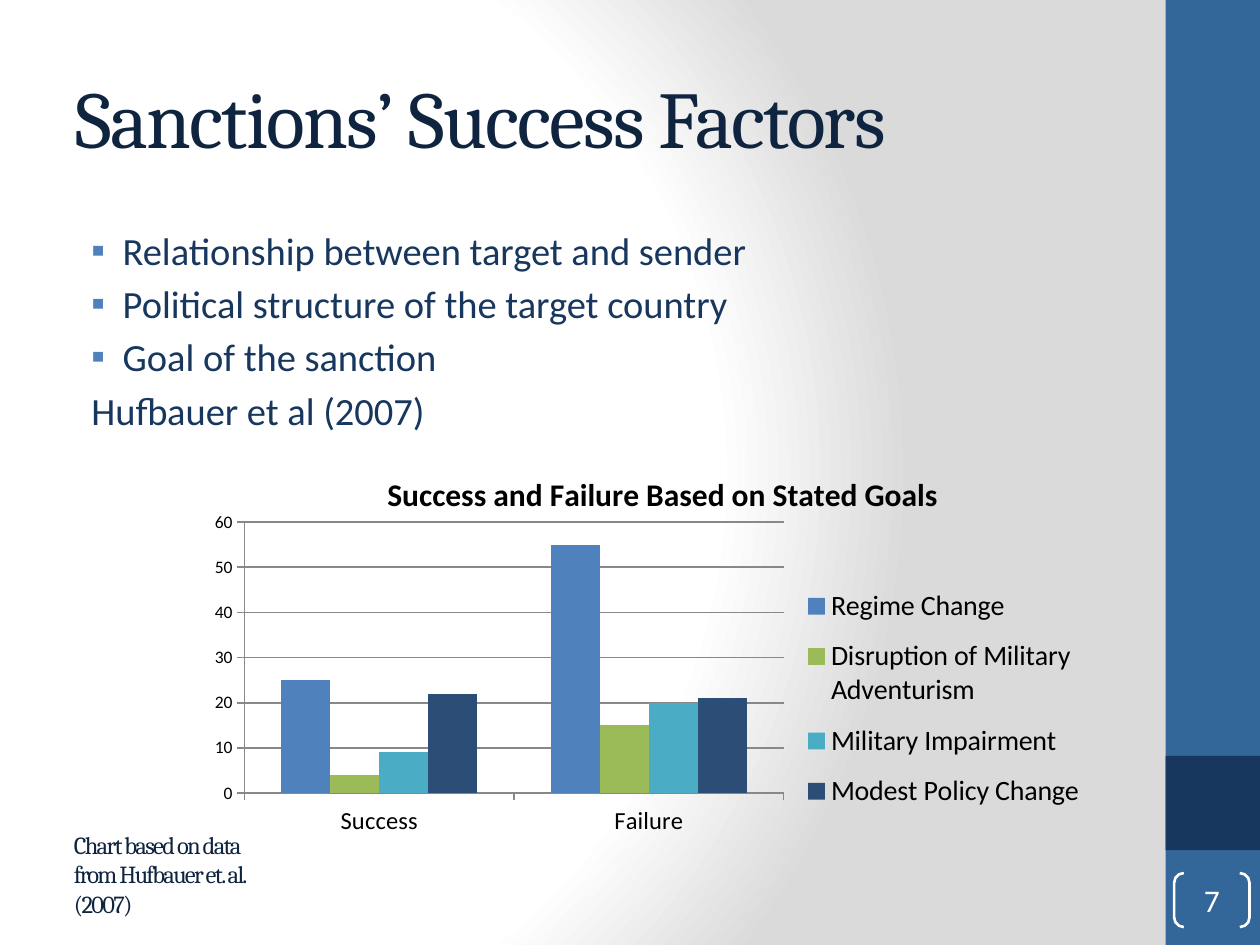
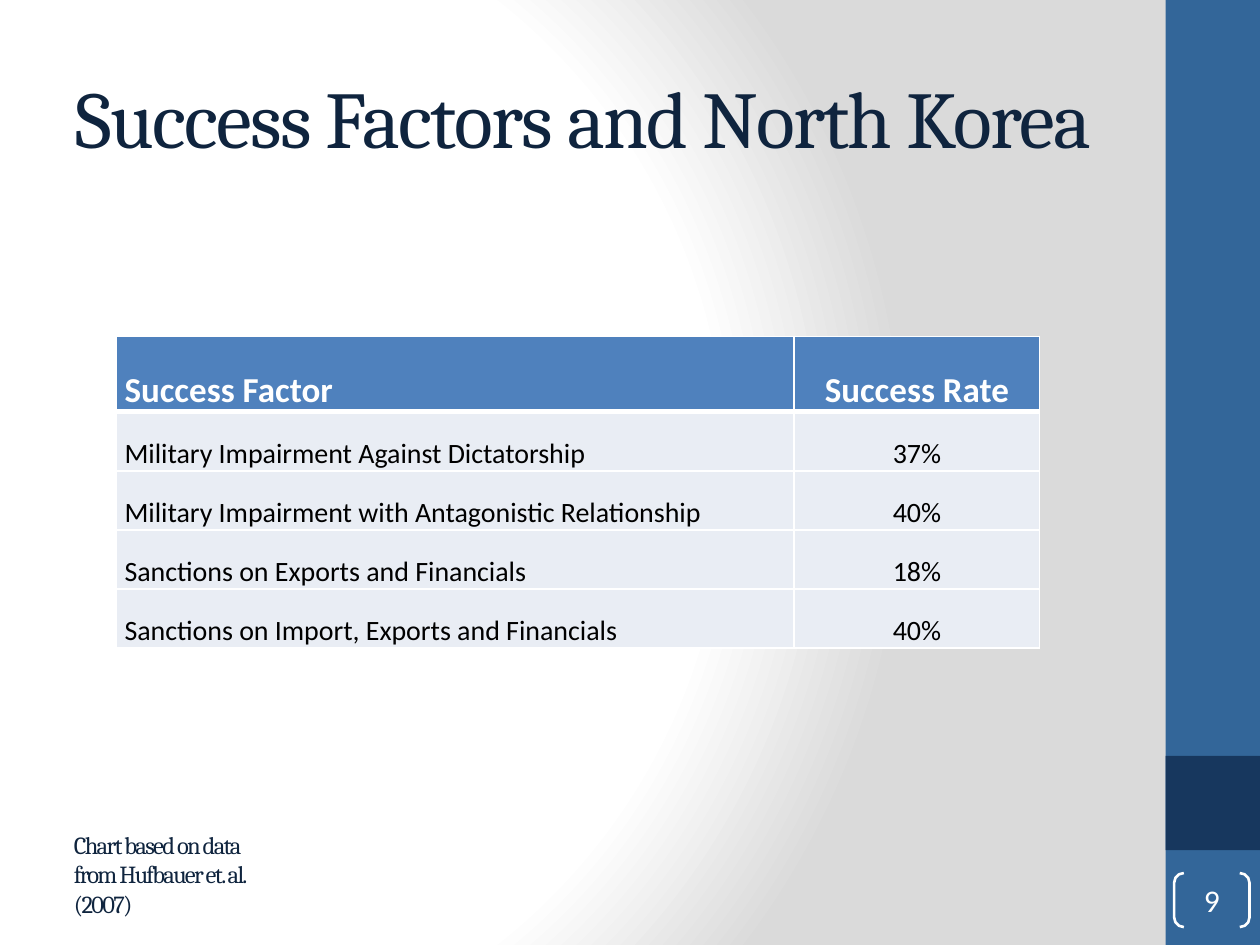
from pptx import Presentation
from pptx import util as u
from pptx.chart import data
from pptx.dml import color
from pptx.enum import chart as ch, shapes, text
from pptx.oxml import ns, parse_xml

HUES = {
    "white": "FFFFFF", "gray": "DADADA", "band": "336699", "navy": "17375E",
    "title": "0F243E", "blue": "4F81BD", "green": "9BBB59", "teal": "4BACC6",
    "deep": "2C4D75", "rule": "888888", "pale": "E9EDF4", "black": "000000",
}
LOOKS = {
    "title": {"size": 46, "name": "Cambria", "hue": "title", "track": -100},
    "note": {"size": 14, "name": "Cambria", "hue": "title", "track": -100},
    "list": {"size": 22, "name": "Calibri", "hue": "navy"},
    "page": {"size": 18, "name": "Calibri", "hue": "white"},
    "head": {"size": 20, "name": "Calibri", "hue": "white", "bold": True},
    "cell": {"size": 16, "name": "Calibri", "hue": "black", "bold": False},
    "chart": {"size": 10, "name": "Calibri", "hue": "black"},
    "group": {"size": 14, "name": "Calibri", "hue": "black"},
    "key": {"size": 16, "name": "Calibri", "hue": "black"},
    "top": {"size": 18, "name": "Calibri", "hue": "black", "bold": True},
}
LEFT, MID = text.PP_ALIGN.LEFT, text.PP_ALIGN.CENTER
NOTE = "Chart based on data from Hufbauer et. al. (2007)"


def put(item, **vals):
    for key, val in vals.items():
        setattr(item, key, val)


def rgb(hue):
    return color.RGBColor.from_string(HUES[hue])


def box(*sides):
    return [u.Cm(side) for side in sides]


def xml(tag, body="", **vals):
    vals = "".join(f' {key}="{val}"' for key, val in vals.items())
    return parse_xml(f'<{tag} {ns.nsdecls(tag[0])}{vals}>{body}</{tag}>')


def solid(hue):
    return f'<a:solidFill><a:srgbClr val="{HUES[hue]}"/></a:solidFill>'


def place(node, spot, **vals):
    for old in node.findall(ns.qn("c:layout")):
        node.remove(old)
    parts = "".join(f'<c:{key} val="{val}"/>' for key, val in vals.items())
    node.insert(spot, xml("c:layout", f"<c:manualLayout>{parts}</c:manualLayout>"))


class Deck:
    def __init__(self):
        self.show = Presentation()
        put(self.show, slide_width=u.Cm(25.4), slide_height=u.Cm(19.05))
        self.slide = None
        self.paint()

    def paint(self):
        base = self.show.slide_master
        base.background.fill.solid()
        back = base.element.find(".//" + ns.qn("p:bgPr"))
        stops = "".join(
            f'<a:gs pos="{spot}"><a:srgbClr val="{HUES[hue]}"/></a:gs>'
            for spot, hue in ((0, "white"), (75000, "white"), (100000, "gray")))
        back.replace(back[0], xml(
            "a:gradFill", f'<a:gsLst>{stops}</a:gsLst><a:path path="circle">'
            '<a:fillToRect l="20000" t="50000" r="100000" b="50000"/></a:path>',
            rotWithShape=1))

    def font(self, font, look):
        for key, val in LOOKS[look].items():
            if key == "hue":
                font.color.rgb = rgb(val)
            elif key == "track":
                font._element.set("spc", str(val))
            else:
                setattr(font, key, u.Pt(val) if key == "size" else val)

    def say(self, para, words, look, align=LEFT):
        run = para.add_run()
        run.text = words
        para.alignment = align
        self.font(run.font, look)

    def start(self, title, page, kind=5):
        self.slide = self.show.slides.add_slide(self.show.slide_layouts[kind])
        self.block((23.5, 0, 1.9, 19.05), "band")
        self.block((23.5, 15.24, 1.9, 1.9), "navy")
        head = self.slide.shapes.title
        self.frame(head, (1.27, 0.76, 21.16, 3.18))
        self.say(head.text_frame.paragraphs[0], title, "title")
        self.page(page)

    def frame(self, item, spot, anchor=text.MSO_ANCHOR.MIDDLE):
        put(item, **dict(zip(("left", "top", "width", "height"), box(*spot))))
        put(item.text_frame, word_wrap=True, vertical_anchor=anchor,
            auto_size=text.MSO_AUTO_SIZE.NONE)

    def block(self, spot, hue):
        item = self.slide.shapes.add_shape(shapes.MSO_SHAPE.RECTANGLE, *box(*spot))
        item.shadow.inherit = False
        item.fill.solid()
        item.fill.fore_color.rgb = rgb(hue)
        item.line.fill.background()

    def page(self, num):
        item = self.slide.shapes.add_shape(
            shapes.MSO_SHAPE.DOUBLE_BRACKET, *box(23.67, 17.6, 1.52, 1.09))
        item.shadow.inherit = False
        item.adjustments[0] = 0.18
        item.fill.background()
        item.line.color.rgb = rgb("white")
        item.line.width = u.Pt(1.5)
        put(item.text_frame, margin_left=0, margin_right=0, margin_top=0,
            margin_bottom=0, vertical_anchor=text.MSO_ANCHOR.MIDDLE)
        self.say(item.text_frame.paragraphs[0], str(num), "page", MID)

    def list(self, lines, last):
        body = self.slide.placeholders[1]
        self.frame(body, (1.27, 4.45, 21.16, 13.34), text.MSO_ANCHOR.TOP)
        frame = body.text_frame
        for num, words in enumerate([*lines, last]):
            para = frame.add_paragraph() if num else frame.paragraphs[0]
            self.say(para, words, "list")
            para.space_before = u.Pt(4)
            props = para._p.get_or_add_pPr()
            dot = num < len(lines)
            props.set("marL", str(u.Cm(0.95 if dot else 0.32)))
            props.set("indent", str(u.Cm(-0.63 if dot else 0)))
            if dot:
                props.append(xml("a:buClr", f'<a:srgbClr val="{HUES["blue"]}"/>'))
                props.append(xml("a:buFont", typeface="Calibri"))
                props.append(xml("a:buChar", char="▪"))
            else:
                props.append(xml("a:buNone"))

    def note(self, width):
        spot = (1.24, 16.69, width, 1.85)
        item = self.slide.shapes.add_textbox(*box(*spot))
        self.frame(item, spot)
        self.say(item.text_frame.paragraphs[0], NOTE, "note")

    def chart(self, title, groups, rows):
        feed = data.CategoryChartData()
        feed.categories = groups
        for name, vals, hue in rows:
            feed.add_series(name, vals)
        chart = self.slide.shapes.add_chart(
            ch.XL_CHART_TYPE.COLUMN_CLUSTERED, *box(4.01, 9.02, 18.42, 7.92), feed).chart
        self.font(chart.font, "chart")
        put(chart, has_title=True, has_legend=True)
        self.say(chart.chart_title.text_frame.paragraphs[0], title, "top", MID)
        place(chart.chart_title._element, 1, xMode="edge", yMode="edge", x=0.2, y=0.05)
        plot = chart.plots[0]
        put(plot, gap_width=150, overlap=0, vary_by_categories=False)
        for bars, (name, vals, hue) in zip(plot.series, rows):
            bars.format.fill.solid()
            bars.format.fill.fore_color.rgb = rgb(hue)
        place(chart._chartSpace.find(".//" + ns.qn("c:plotArea")), 0,
              layoutTarget="inner", xMode="edge", yMode="edge",
              x=0.05, y=0.19, w=0.59, h=0.69)
        put(chart.legend, position=ch.XL_LEGEND_POSITION.RIGHT, include_in_layout=False)
        self.font(chart.legend.font, "key")
        place(chart.legend._element, 1, xMode="edge", yMode="edge",
              x=0.65, y=0.32, w=0.33, h=0.64)
        side, base = chart.value_axis, chart.category_axis
        put(side, minimum_scale=0, maximum_scale=60, major_unit=10,
            has_major_gridlines=True)
        for axis, look in ((side, "chart"), (base, "group")):
            axis.major_tick_mark = ch.XL_TICK_MARK.OUTSIDE
            self.font(axis.tick_labels.font, look)
        for part in (side, base, side.major_gridlines):
            part.format.line.color.rgb = rgb("rule")
            part.format.line.width = u.Pt(1)

    def table(self, rows):
        grid = self.slide.shapes.add_table(
            len(rows), 2, *box(2.34, 6.78, 18.62, 6.28)).table
        for col, width in zip(grid.columns, (13.67, 4.95)):
            col.width = u.Cm(width)
        for num, row in enumerate(rows):
            grid.rows[num].height = u.Cm(1.19 if num else 1.52)
            for col, words in enumerate(row):
                self.cell(grid.cell(num, col), words, num, col)

    def cell(self, cell, words, row, col):
        put(cell, margin_left=u.Cm(0.03 if col else 0.17), margin_right=u.Cm(0.03),
            margin_top=u.Cm(0.03), margin_bottom=0,
            vertical_anchor=text.MSO_ANCHOR.BOTTOM)
        cell.fill.solid()
        cell.fill.fore_color.rgb = rgb("pale" if row else "blue")
        self.say(cell.text_frame.paragraphs[0], words,
                 "cell" if row else "head", MID if col else LEFT)
        edges = {"L": 1, "R": 1, "T": 3 if row == 1 else 1, "B": 1 if row else 3}
        for spot, (edge, width) in enumerate(edges.items()):
            cell._tc.get_or_add_tcPr().insert(
                spot, xml(f"a:ln{edge}", solid("white"), w=u.Pt(width)))


def main():
    deck = Deck()
    deck.start("Sanctions’ Success Factors", 7, 1)
    deck.list(["Relationship between target and sender",
               "Political structure of the target country",
               "Goal of the sanction"], "Hufbauer et al (2007)")
    deck.chart("Success and Failure Based on Stated Goals", ["Success", "Failure"], [
        ("Regime Change", (25, 55), "blue"),
        ("Disruption of Military Adventurism", (4, 15), "green"),
        ("Military Impairment", (9, 20), "teal"),
        ("Modest Policy Change", (22, 21), "deep"),
    ])
    deck.note(4.04)

    deck.start("Success Factors and North Korea", 9)
    deck.note(4.47)
    deck.table([
        ("Success Factor", "Success Rate"),
        ("Military Impairment Against Dictatorship", "37%"),
        ("Military Impairment with Antagonistic Relationship", "40%"),
        ("Sanctions on Exports and Financials", "18%"),
        ("Sanctions on Import, Exports and Financials", "40%"),
    ])
    deck.show.save("out.pptx")


if __name__ == "__main__":
    main()
